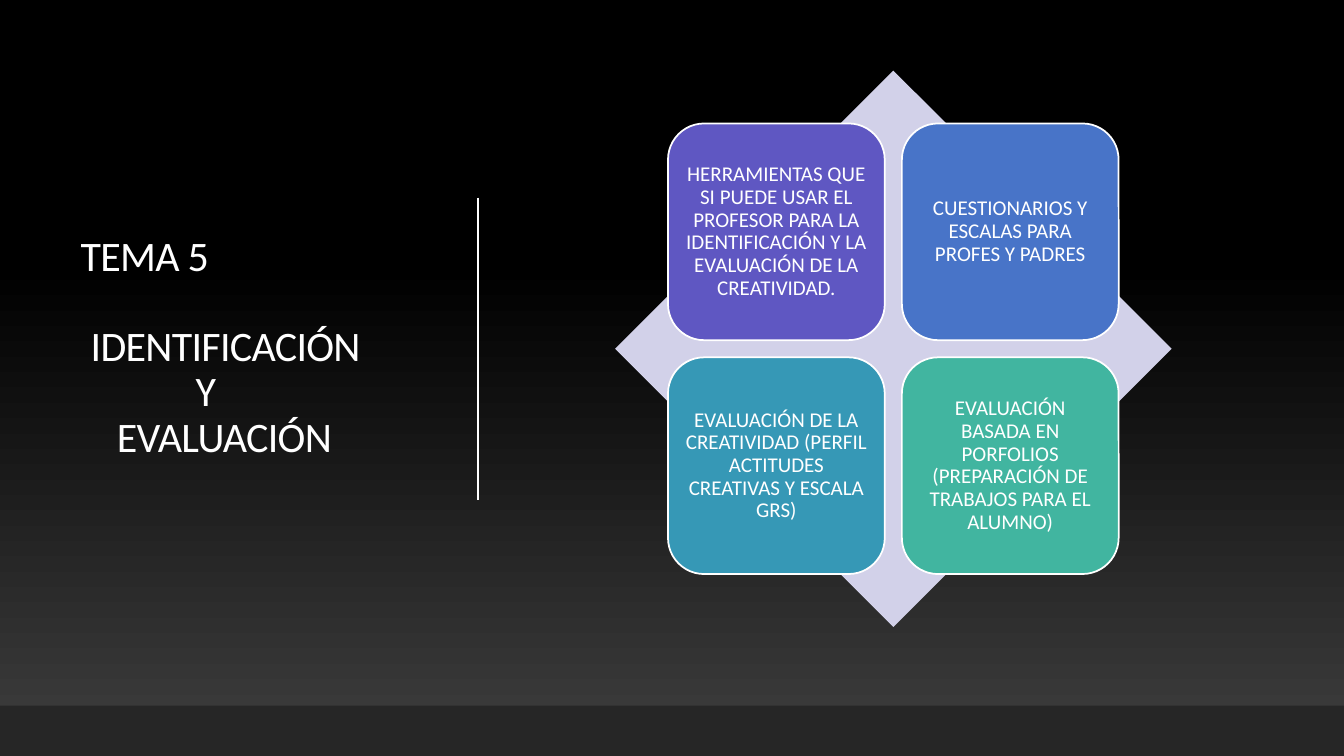
from dataclasses import dataclass
from lxml import etree
from pptx import Presentation
from pptx.dml.color import RGBColor
from pptx.enum.shapes import MSO_CONNECTOR, MSO_SHAPE
from pptx.enum.text import MSO_ANCHOR, MSO_AUTO_SIZE, PP_ALIGN
from pptx.oxml.ns import qn
from pptx.util import Inches, Pt

STRAIGHT = MSO_CONNECTOR.STRAIGHT
RECT = MSO_SHAPE.RECTANGLE
ROUND = MSO_SHAPE.ROUNDED_RECTANGLE
DIAMOND = MSO_SHAPE.DIAMOND
MIDDLE = MSO_ANCHOR.MIDDLE
NO_FIT = MSO_AUTO_SIZE.NONE
LEFT, CENTER = PP_ALIGN.LEFT, PP_ALIGN.CENTER


@dataclass(frozen=True)
class Theme:
    font: str = "Calibri"
    head: int = 30
    body: int = 15
    white: str = "FFFFFF"
    black: str = "000000"
    gray: str = "3F3F3F"
    band: str = "262626"
    pale: str = "D2D1E9"
    tiles: tuple = ("5F57C2", "4874C8", "3698B6", "41B5A0")


THEME = Theme()
HEADING = [
    ("TEMA 5", 0, 0),
    ("IDENTIFICACIÓN", 0.1, 32),
    ("Y", 1.14, 0),
    ("EVALUACIÓN", 0.36, 0),
]
TOPICS = [
    "HERRAMIENTAS QUE SI PUEDE USAR EL PROFESOR PARA LA IDENTIFICACIÓN Y LA EVALUACIÓN DE LA CREATIVIDAD.",
    "CUESTIONARIOS Y ESCALAS PARA PROFES Y PADRES",
    "EVALUACIÓN DE LA CREATIVIDAD (PERFIL ACTITUDES CREATIVAS Y ESCALA GRS)",
    "EVALUACIÓN BASADA EN PORFOLIOS (PREPARACIÓN DE TRABAJOS PARA EL ALUMNO)",
]


def color(code):
    return RGBColor.from_string(code)


def style(par, size, align):
    par.alignment = align
    par.line_spacing = 0.9
    for run in par.runs:
        run.font.name = THEME.font
        run.font.size = Pt(size)
        run.font.color.rgb = color(THEME.white)


def add_block(slide, kind, box, fill):
    shape = slide.shapes.add_shape(kind, *map(Inches, box))
    shape.shadow.inherit = False
    shape.fill.solid()
    shape.fill.fore_color.rgb = color(fill)
    shape.line.fill.background()
    return shape


def set_back(slide):
    fill = slide.background.fill
    fill.gradient()
    fill.gradient_angle = 90
    stops = zip(fill.gradient_stops, (THEME.gray, THEME.black), (0, 0.65))
    for stop, code, place in stops:
        stop.color.rgb = color(code)
        stop.position = place


def set_title(slide, box):
    title = slide.shapes.title
    title.left, title.top, title.width, title.height = map(Inches, box)
    frame = title.text_frame
    frame.text = "\n".join(text for text, _, _ in HEADING)
    frame.word_wrap = True
    frame.auto_size = NO_FIT
    frame.vertical_anchor = MIDDLE
    for par, (_, indent, gap) in zip(frame.paragraphs, HEADING):
        style(par, THEME.head, LEFT)
        par.space_before = Pt(gap)
        props = par._p.get_or_add_pPr()
        props.set("marL", str(Inches(indent)))
        props.set("indent", "0")
        for run in par.runs:
            run.font._element.set("spc", "-50")


def add_rule(slide, left, top, height):
    ends = map(Inches, (left, top, left, top + height))
    rule = slide.shapes.add_connector(STRAIGHT, *ends)
    rule.line.color.rgb = color(THEME.white)
    rule.line.width = Pt(1)
    etree.SubElement(rule._element.spPr, qn("a:effectLst"))


def add_tile(slide, box, text, fill):
    tile = add_block(slide, ROUND, box, fill)
    tile.line.color.rgb = color(THEME.white)
    tile.line.width = Pt(1.25)
    frame = tile.text_frame
    frame.text = text
    frame.word_wrap = True
    frame.vertical_anchor = MIDDLE
    frame.margin_left = frame.margin_right = Inches(0.06)
    frame.margin_top = frame.margin_bottom = Inches(0.06)
    style(frame.paragraphs[0], THEME.body, CENTER)


def add_matrix(slide, box):
    left, top, width, _ = box
    add_block(slide, DIAMOND, box, THEME.pale)
    side, step = 2.15, 2.32
    inset = (width - side - step) / 2
    for i, (text, fill) in enumerate(zip(TOPICS, THEME.tiles)):
        row, col = divmod(i, 2)
        place = (left + inset + col * step, top + inset + row * step, side, side)
        add_tile(slide, place, text, fill)


def main():
    deck = Presentation()
    deck.slide_width, deck.slide_height = Inches(13.33), Inches(7.5)
    slide = deck.slides.add_slide(deck.slide_layouts[5])
    set_back(slide)
    set_title(slide, (0.7, 0.69, 3.69, 5.53))
    add_rule(slide, 4.74, 1.96, 3)
    add_block(slide, RECT, (0, 7, 13.33, 0.5), THEME.band)
    add_matrix(slide, (6.1, 0.7, 5.52, 5.52))
    deck.save("out.pptx")


if __name__ == "__main__":
    main()
